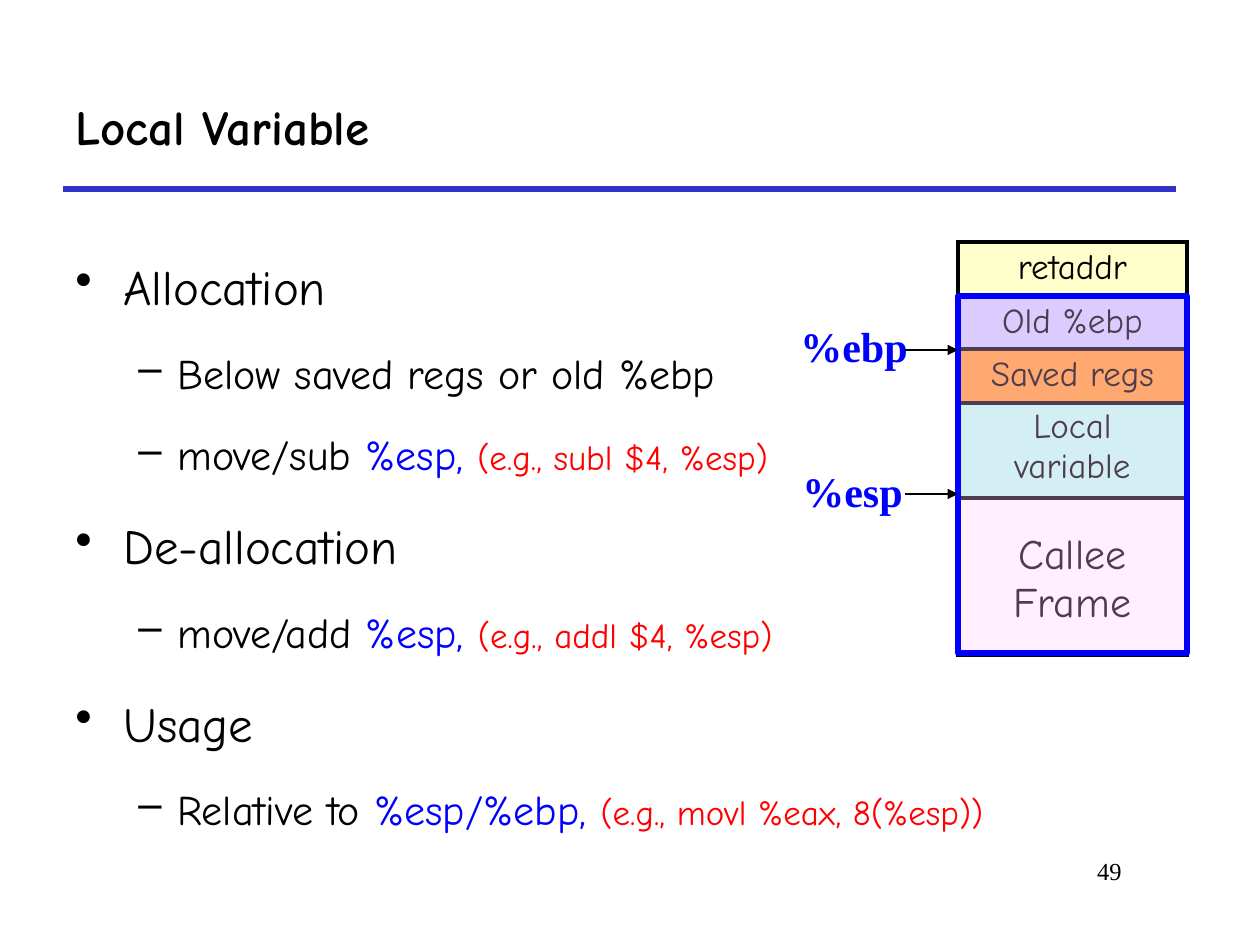
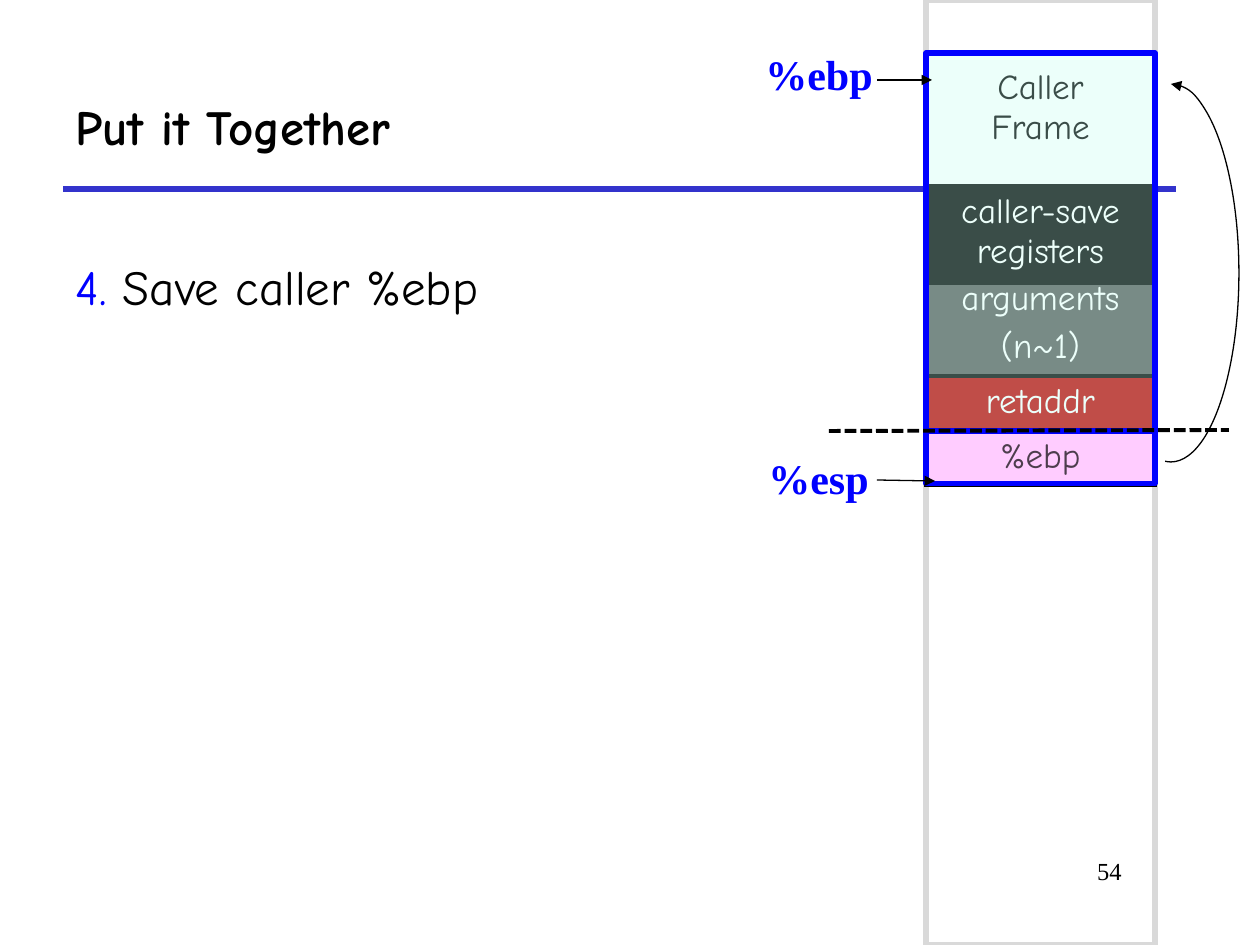
"""Build two slides on stack frames: local variables and saving the caller's %ebp."""
import pptx
import pptx.util
import pptx.dml.color
import pptx.enum.shapes
import pptx.enum.text
import pptx.oxml.ns
import lxml.etree

SCALE = 914400 / 126
HAND, SERIF = "Comic Neue", "Times New Roman"
INK = {"black": "000000", "white": "FFFFFF", "blue": "0000FF", "red": "FF0000",
       "rule": "3333CC", "lilac": "CCCCFF", "mint": "C2FFF0", "orange": "FF9933",
       "cream": "FFFFCC", "pink": "FFCCFF", "gray": "595959", "brick": "C00000",
       "silver": "D9D9D9"}
ALIGN = {"left": pptx.enum.text.PP_ALIGN.LEFT, "mid": pptx.enum.text.PP_ALIGN.CENTER,
         "right": pptx.enum.text.PP_ALIGN.RIGHT}
ANCHOR = {"top": pptx.enum.text.MSO_ANCHOR.TOP, "mid": pptx.enum.text.MSO_ANCHOR.MIDDLE,
          "low": pptx.enum.text.MSO_ANCHOR.BOTTOM}
KIND = pptx.enum.shapes.MSO_SHAPE
LEVELS = {"main": dict(size=28, before=7.5, mark="•", left=48, hang=48),
          "sub": dict(size=24, before=6.5, mark="–", left=102, hang=39),
          "step": dict(size=28)}
WIDE = 229

LOCAL = dict(
    title="Local Variable", number="49", left=958,
    body=[("main", [("Allocation", {})]),
          ("sub", [("Below saved regs or old %ebp", {})]),
          ("sub", [("move/sub ", {}), ("%esp, ", dict(color="blue")),
                   ("(e.g., subl $4, %esp)", dict(color="red", size=20))]),
          ("main", [("De-allocation", {})]),
          ("sub", [("move/add ", {}), ("%esp, ", dict(color="blue")),
                   ("(e.g., addl $4, %esp)", dict(color="red", size=20))]),
          ("main", [("Usage", {})]),
          ("sub", [("Relative to ", {}), ("%esp/%ebp, ", dict(color="blue")),
                   ("(e.g., movl %eax, 8(%esp))", dict(color="red", size=20))])],
    cells=[(["Old %ebp"], 296, 54, "lilac", {}),
           (["Local variable"], 401, 97, "mint", {}),
           (["Saved regs"], 349, 54, "orange", {}),
           (["Callee\nFrame"], 296, 359, None, dict(size=24, anchor="low", pad=(6, 27))),
           (["retaddr"], 242, 54, "cream", {})],
    veils=[(296, 357, "pink")],
    marks=[("%ebp", 788, 314, 134), ("%esp", 790, 459, 127)],
    arrows=[(905, 350, 958, 350), (905, 494, 958, 494)])

SAVE = dict(
    title="Put it Together", number="54", left=926,
    body=[("step", [("4. ", dict(color="blue")), ("Save caller %ebp", {})])],
    cells=[(["arguments", "(n~1)"], 273, 105, "gray", dict(color="white")),
           (["caller-save registers"], 186, 97, "black", dict(color="white")),
           (["%ebp"], 431, 54, "pink", {}),
           (["retaddr"], 376, 54, "brick", dict(color="white")),
           (["Caller\nFrame"], 53, 378, None, dict(pad=(15, 6)))],
    veils=[(53, 378, "mint"), (431, 53, "pink")],
    marks=[("%ebp", 753, 42, 140), ("%esp", 756, 446, 134)],
    arrows=[(877, 80, 932, 80), (877, 480, 935, 481)])


def px(*nums):
    """Turn px into EMU."""
    return [pptx.util.Emu(round(n * SCALE)) for n in nums]


def rgb(name):
    """Look up a colour."""
    return pptx.dml.color.RGBColor.from_string(INK[name])


def sub(node, tag, **attrs):
    """Append a DrawingML element."""
    return lxml.etree.SubElement(node, pptx.oxml.ns.qn("a:" + tag), attrs)


def write(frame, paras, size=20, font=HAND, color="black", bold=False, align="left",
          before=0, lines=None, mark=None, left=0, hang=0, fresh=True):
    """Write paragraphs, each a string or a list of (text, format) runs."""
    for text in paras:
        para = frame.paragraphs[0] if fresh else frame.add_paragraph()
        para.alignment = ALIGN[align]
        if lines:
            para.line_spacing = lines
        if before and not fresh:
            para.space_before = pptx.util.Pt(before)
        if mark:
            props = para._p.get_or_add_pPr()
            props.set("marL", str(px(left)[0]))
            props.set("indent", str(-px(hang)[0]))
            sub(props, "buChar", char=mark)
        for words, look in [(text, {})] if isinstance(text, str) else text:
            for i, part in enumerate(words.split("\n")):
                if i:
                    para.add_line_break()
                run = para.add_run()
                run.text = part
                run.font.name, run.font.bold = font, bold
                run.font.size = pptx.util.Pt(look.get("size", size))
                run.font.color.rgb = rgb(look.get("color", color))
        fresh = False


def box(slide, place, paras, anchor="top", wrap=True, **look):
    """Add a text box."""
    frame = slide.shapes.add_textbox(*px(*place)).text_frame
    frame.word_wrap = wrap
    frame.vertical_anchor = ANCHOR[anchor]
    write(frame, paras, **look)
    return frame


def cell(slide, left, paras, top, high, fill, anchor="top", pad=(6, 6), **look):
    """Add one stack slot as a bordered table of one cell."""
    table = slide.shapes.add_table(1, 1, *px(left, top, WIDE, high)).table
    slot = table.cell(0, 0)
    slot.margin_top, slot.margin_bottom = px(*pad)
    slot.vertical_anchor = ANCHOR[anchor]
    write(slot.text_frame, paras, align="mid", before=4.6, **look)
    props = slot._tc.get_or_add_tcPr()
    for side in "LRTB":
        edge = sub(props, "ln" + side, w=str(pptx.util.Pt(2.25)))
        sub(sub(edge, "solidFill"), "srgbClr", val=INK["black"])
    if fill:
        slot.fill.solid()
        slot.fill.fore_color.rgb = rgb(fill)
    else:
        slot.fill.background()


def line(slide, ends, color="black", width=0.75, dash=None, arrow=False):
    """Add a straight line or arrow."""
    wire = slide.shapes.add_connector(pptx.enum.shapes.MSO_CONNECTOR.STRAIGHT, *px(*ends))
    wire.line.color.rgb = rgb(color)
    wire.line.width = pptx.util.Pt(width)
    if dash:
        sub(wire.line._get_or_add_ln(), "prstDash", val=dash)
    if arrow:
        sub(wire.line._get_or_add_ln(), "tailEnd", type="triangle")
    sub(wire._element.spPr, "effectLst")


def shape(slide, kind, place, color, width=3, fill=None):
    """Add an outlined shape, clear or with a veil of colour."""
    form = slide.shapes.add_shape(kind, *px(*place))
    form.shadow.inherit = False
    form.line.color.rgb = rgb(color)
    form.line.width = pptx.util.Pt(width)
    if fill:
        form.fill.solid()
        form.fill.fore_color.rgb = rgb(fill)
        tint = form._element.spPr.find(".//" + pptx.oxml.ns.qn("a:srgbClr"))
        sub(tint, "alpha", val="30000")
    else:
        form.fill.background()
    return form


def start(deck, page):
    """Add a slide with its rule, title, number and body."""
    slide = deck.slides.add_slide(deck.slide_layouts[6])
    line(slide, (63, 189, 1176, 189), "rule", 3)
    box(slide, (955, 850, 179, 63), [page["number"]], size=14, font=SERIF, align="right")
    box(slide, (63, 63, 1113, 126), [page["title"]], anchor="mid", size=28, bold=True)
    level, runs = page["body"][0]
    frame = box(slide, (63, 227, 1160, 602), [runs], lines=1.4, **LEVELS[level])
    for level, runs in page["body"][1:]:
        write(frame, [runs], lines=1.4, fresh=False, **LEVELS[level])
    return slide


def stack(slide, page):
    """Draw the stack with its veils and pointers."""
    left = page["left"]
    for paras, top, high, fill, look in page["cells"]:
        cell(slide, left, paras, top, high, fill, **look)
    for top, high, fill in page["veils"]:
        shape(slide, KIND.RECTANGLE, (left, top, WIDE, high), "blue", fill=fill)
    for name, x, y, wide in page["marks"]:
        box(slide, (x, y, wide, 64), [name], wrap=False, size=24, font=SERIF,
            color="blue", bold=True)
    for ends in page["arrows"]:
        line(slide, ends, arrow=True)


def main():
    """Build and save the deck."""
    deck = pptx.Presentation()
    deck.slide_width, deck.slide_height = px(1260, 945)
    stack(start(deck, LOCAL), LOCAL)
    slide = start(deck, SAVE)
    shape(slide, KIND.RECTANGLE, (SAVE["left"], 0, WIDE, 945), "silver")
    stack(slide, SAVE)
    line(slide, (829, 431, 1229, 430), width=2.25, dash="sysDash")
    loop = shape(slide, KIND.ARC, (1103, 84, 136, 378), "black", 0.75)
    loop.adjustments[0], loop.adjustments[1] = 162, 55.06
    sub(loop.line._get_or_add_ln(), "headEnd", type="triangle")
    deck.save("out.pptx")


if __name__ == "__main__":
    main()
